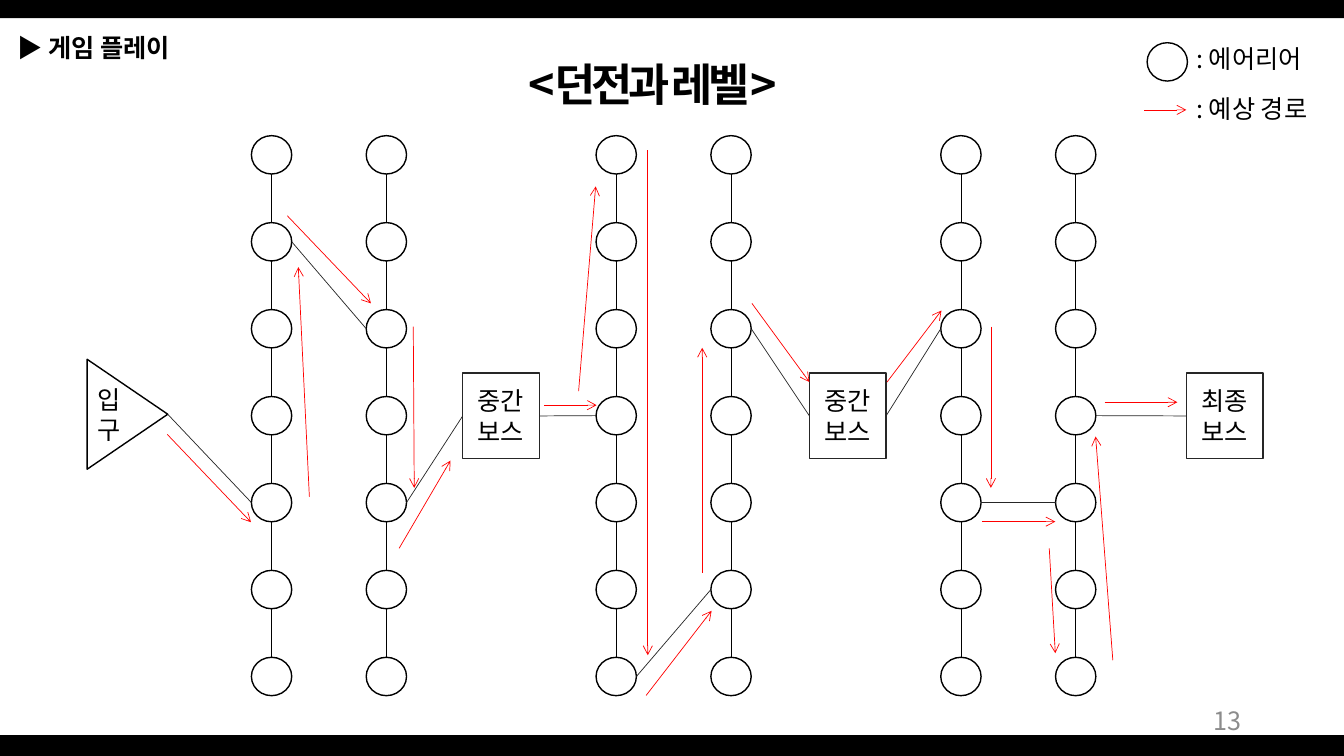
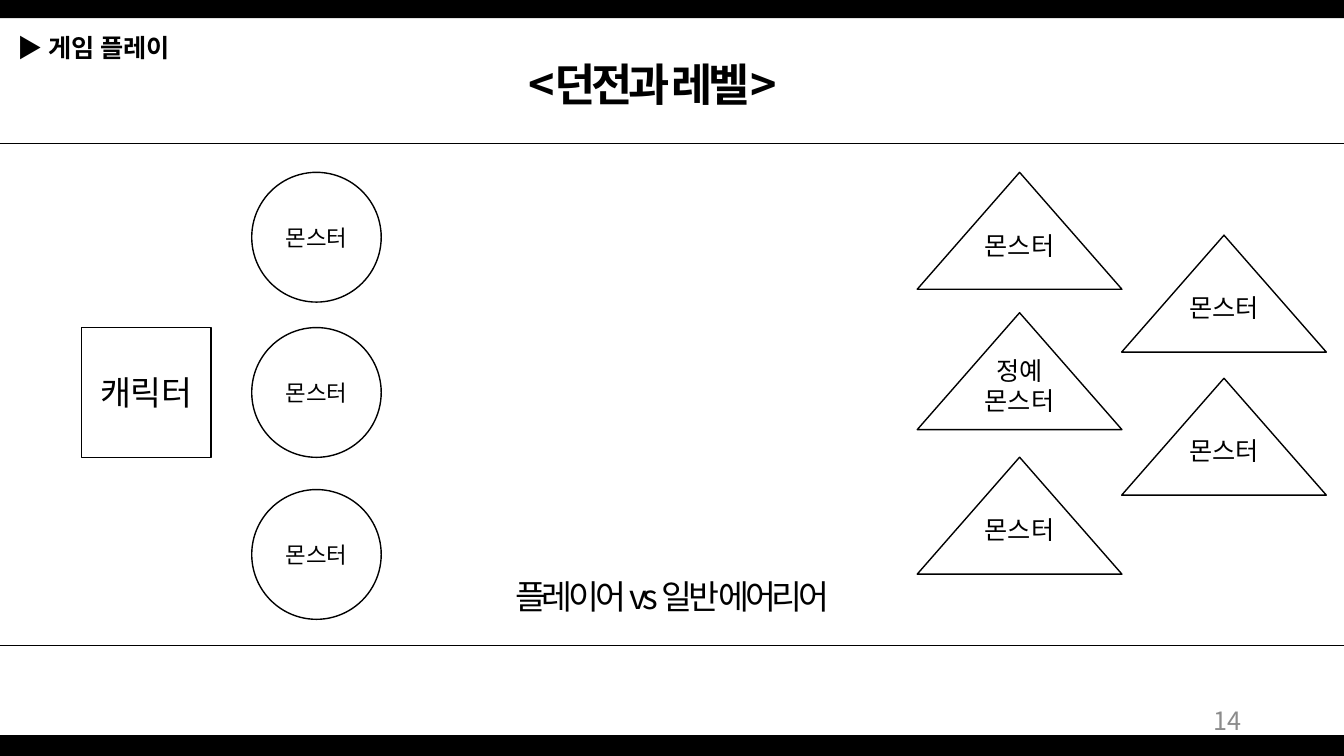
import lxml.etree
import pptx
import pptx.dml.color
import pptx.enum.shapes
import pptx.enum.text
import pptx.oxml.ns
import pptx.util

Pt = pptx.util.Pt
SHAPE = pptx.enum.shapes.MSO_SHAPE
ALIGN = pptx.enum.text.PP_ALIGN
ANCHOR = pptx.enum.text.MSO_ANCHOR
COLOURS = {"ink": "000000", "paper": "FFFFFF", "edge": "262626", "route": "FF0000", "number": "8C8C8C"}
FONT = "Noto Sans CJK KR"
WIDTH, HEIGHT = 960, 540
LEFT, RIGHT = 1, 3

NODE_WIDTH, NODE_HEIGHT = 28.8, 27.4
COLUMNS = [134 + 246.2 * pair + 82 * side for pair in range(3) for side in range(2)]
ROWS = [20.6 + 62.1 * row for row in range(7)]
BOSS_TOP, BOSS_WIDTH, BOSS_HEIGHT = 176.5, 54.7, 61.2
BOSSES = [(270.5, "중간\n보스"), (518.2, "중간\n보스"), (787.4, "최종\n보스")]
ROUTES = [
    (59.5, 220.3, 119.3, 283),
    (161, 265, 153.1, 100.8),
    (145.2, 64.1, 205, 126.7),
    (235.2, 143.3, 235.9, 258.5),
    (225.1, 301.7, 261.8, 239),
    (328.8, 199.4, 366.2, 199.4),
    (353.3, 189.4, 365.5, 43.2),
    (402.7, 17.3, 402.7, 378),
    (401.5, 406.8, 448.3, 346.3),
    (441.6, 319, 441.6, 158.4),
    (477.1, 126.7, 518.2, 182.9),
    (573.6, 182.9, 612.5, 131.8),
    (647.8, 143.3, 647.8, 258.5),
    (641.3, 282.6, 693.8, 282.6),
    (689.5, 301.7, 693.8, 376.6),
    (734.9, 381.6, 722.6, 221.8),
    (729.1, 197.3, 781, 197.3),
]


def rgb(name):
    """Return the named colour."""
    return pptx.dml.color.RGBColor.from_string(COLOURS[name])


def add_tag(parent, tag, **attributes):
    """Append a drawing element to a parent element."""
    child = lxml.etree.SubElement(parent, pptx.oxml.ns.qn(tag))
    for key, value in attributes.items():
        child.set(key, value)


def write(shape, text, size, align=ALIGN.LEFT, anchor=ANCHOR.TOP, colour="ink", bold=False, spacing=0):
    """Fill a shape with formatted text."""
    frame = shape.text_frame
    frame.text = text
    frame.word_wrap = True
    frame.auto_size = pptx.enum.text.MSO_AUTO_SIZE.NONE
    frame.vertical_anchor = anchor
    for para in frame.paragraphs:
        para.alignment = align
        for span in para.runs:
            span.font.size = Pt(size)
            span.font.bold = bold
            span.font.name = FONT
            span.font.color.rgb = rgb(colour)
            properties = span._r.get_or_add_rPr()
            if spacing:
                properties.set("spc", str(spacing * 100))
            add_tag(properties, "a:ea", typeface=FONT)


def add_text(page, box, text, size, **style):
    """Add a text box."""
    write(page.shapes.add_textbox(*map(Pt, box)), text, size, **style)


def add_figure(page, kind, box, text="", size=18, fill="paper", edge="ink"):
    """Add an outlined shape with centred text."""
    shape = page.shapes.add_shape(kind, *map(Pt, box))
    shape.shadow.inherit = False
    shape.fill.solid()
    shape.fill.fore_color.rgb = rgb(fill)
    if edge:
        shape.line.color.rgb = rgb(edge)
        shape.line.width = Pt(1)
    else:
        shape.line.fill.background()
    if text:
        write(shape, text, size, align=ALIGN.CENTER, anchor=ANCHOR.MIDDLE)
    return shape


def add_line(page, start, end, colour="ink", arrow=False):
    """Add a thin straight line, with an arrowhead at its end if asked."""
    line = page.shapes.add_connector(pptx.enum.shapes.MSO_CONNECTOR.STRAIGHT, *map(Pt, (*start, *end)))
    line.line.color.rgb = rgb(colour)
    line.line.width = Pt(0.5)
    if arrow:
        add_tag(line.line._get_or_add_ln(), "a:tailEnd", type="arrow")
    add_tag(line._element.spPr, "a:effectLst")
    return line


def add_page(deck, number):
    """Add a page with its bands, section label, title and number."""
    page = deck.slides.add_slide(deck.slide_layouts[5])
    for top, height in ((0, 13), (525, 15)):
        add_figure(page, SHAPE.RECTANGLE, (0, top, WIDTH, height), fill="ink", edge=None)
    title = page.shapes.title
    title.left, title.top, title.width, title.height = map(Pt, (344.2, 36.7, 243.4, 46))
    write(title, "<던전과 레벨>", 32, align=ALIGN.CENTER, bold=True, spacing=-3)
    add_text(page, (5.2, 19.4, 297.4, 28.8), "▶ 게임 플레이", 18, bold=True)
    add_text(page, (678.2, 500.4, 216, 28.8), str(number), 18,
             align=ALIGN.RIGHT, anchor=ANCHOR.MIDDLE, colour="number")
    return page


def add_node(page, x, y):
    """Add an area circle around a centre."""
    add_figure(page, SHAPE.OVAL, (x - NODE_WIDTH / 2, y - NODE_HEIGHT / 2, NODE_WIDTH, NODE_HEIGHT))


def add_legend(page, box):
    """Explain the area circle and the route arrow."""
    left, top = box[:2]
    add_node(page, left + 16.6, top + 16.8)
    add_line(page, (left, top + 51.1), (left + 30.2, top + 51.1), "route", arrow=True)
    for offset, text in ((0, ": 에어리어"), (36, ": 예상 경로")):
        add_text(page, (left + 30.2, top + offset, box[2] - 30.2, 28.8), text, 18)


def add_dungeon(page, box):
    """Draw the columns of areas, the bosses, the corridors and the routes."""
    left, top = box[:2]

    def port(column, row, side):
        """Return the side point of an area circle."""
        offset = NODE_WIDTH / 2 if side == RIGHT else -NODE_WIDTH / 2
        return left + COLUMNS[column] + offset, top + ROWS[row]

    for column in COLUMNS:
        add_line(page, (left + column, top + ROWS[0]), (left + column, top + ROWS[-1]))
        for row in ROWS:
            add_node(page, left + column, top + row)

    entrance = add_figure(page, SHAPE.ISOSCELES_TRIANGLE, (left - 8.2, top + 177.1, 78.5, 57.6), "입구")
    entrance.rotation = 90
    entrance.text_frame._txBody.bodyPr.set("vert", "vert270")
    bosses = [add_figure(page, SHAPE.RECTANGLE, (left + x, top + BOSS_TOP, BOSS_WIDTH, BOSS_HEIGHT),
                         text, edge="edge") for x, text in BOSSES]

    add_line(page, (left + 59.8, top + 205.9), port(0, 4, LEFT), "edge")
    for start, end in (((0, 1), (1, 2)), ((2, 6), (3, 5)), ((4, 4), (5, 4))):
        add_line(page, port(*start, RIGHT), port(*end, LEFT), "edge")
    for boss, side, column, row in ((0, LEFT, 1, 4), (0, RIGHT, 2, 3), (1, LEFT, 3, 2),
                                    (1, RIGHT, 4, 2), (2, LEFT, 5, 3)):
        start = port(column, row, RIGHT if side == LEFT else LEFT)
        x = left + BOSSES[boss][0] + (BOSS_WIDTH if side == RIGHT else 0)
        corridor = add_line(page, start, (x, top + BOSS_TOP + BOSS_HEIGHT / 2), "edge")
        corridor.end_connect(bosses[boss], side)

    for x1, y1, x2, y2 in ROUTES:
        add_line(page, (left + x1, top + y1), (left + x2, top + y2), "route", arrow=True)


def add_battle(page, box):
    """Draw the player's side and the monsters' side between two rules."""
    left, top, width, height = box
    for y in (top, top + height):
        add_line(page, (left, y), (left + width, y))
    add_figure(page, SHAPE.RECTANGLE, (left + 58.3, top + 131.8, 92.5, 92.7), "캐릭터", 24)
    for y in (20.9, 131.8, 247.5):
        add_figure(page, SHAPE.OVAL, (left + 179.8, top + y, 92.5, 92.7), "몬스터", 16)
    for x, y, text in ((655.2, 20.9, "몬스터"), (655.2, 121.2, "정예\n몬스터"), (655.2, 224.4, "몬스터"),
                       (801.2, 65.8, "몬스터"), (801.2, 168, "몬스터")):
        monster = add_figure(page, SHAPE.ISOSCELES_TRIANGLE, (left + x, top + y, 146.2, 83.5), text)
        monster.text_frame.margin_bottom = Pt(25)
    add_text(page, (left + 347, top + 305.3, 266.4, 36), "플레이어 vs 일반 에어리어", 24,
             align=ALIGN.CENTER, spacing=-3)


def main():
    """Build and save the deck."""
    deck = pptx.Presentation()
    deck.slide_width, deck.slide_height = Pt(WIDTH), Pt(HEIGHT)
    page = add_page(deck, 13)
    add_dungeon(page, (60, 90, 850, 410))
    add_legend(page, (817.2, 27.4, 142, 65))
    page = add_page(deck, 14)
    add_battle(page, (0, 102.2, WIDTH, 358.6))
    deck.save("out.pptx")


if __name__ == "__main__":
    main()
